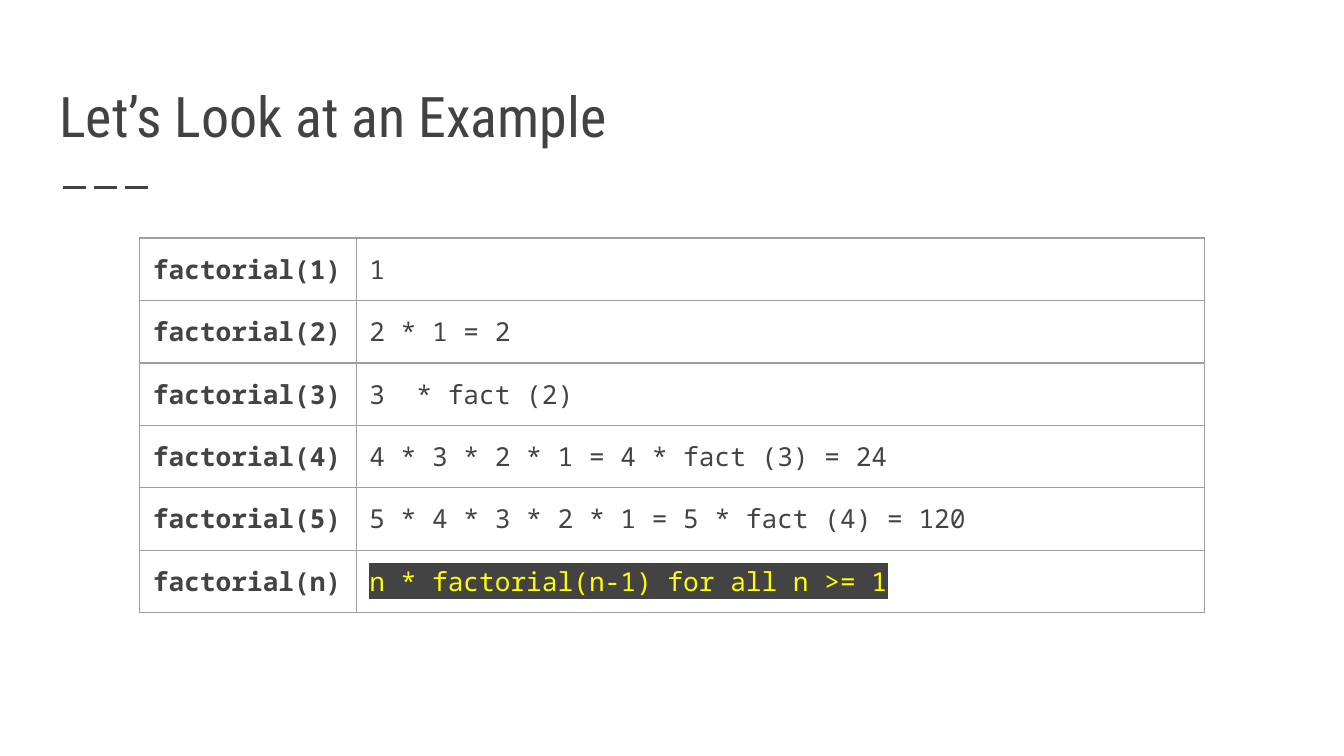
from lxml.etree import SubElement
from pptx import Presentation
from pptx.dml.color import RGBColor
from pptx.enum.dml import MSO_LINE_DASH_STYLE as DashStyle
from pptx.enum.shapes import MSO_CONNECTOR as Connector
from pptx.enum.text import MSO_ANCHOR as Anchor
from pptx.oxml.ns import qn
from pptx.util import Cm, Pt

COLORS = {
    "title": "424242",
    "text": "434343",
    "border": "9E9E9E",
    "highlighted_text": "FFFF00",
}
TITLE_FONT = "Roboto Condensed"
CODE_FONT = "Noto Sans Mono"
INSET = Cm(0.25)

FACTORIALS = [
    ("factorial(1)", "1"),
    ("factorial(2)", "2 * 1 = 2"),
    ("factorial(3)", "3  * fact (2)"),
    ("factorial(4)", "4 * 3 * 2 * 1 = 4 * fact (3) = 24"),
    ("factorial(5)", "5 * 4 * 3 * 2 * 1 = 5 * fact (4) = 120"),
    ("factorial(n)", "n * factorial(n-1) for all n >= 1"),
]


def rgb(name):
    return RGBColor.from_string(COLORS[name])


def format_run(run, font_name, size, color, bold=False):
    run.font.name = font_name
    run.font.size = Pt(size)
    run.font.bold = bold
    run.font.color.rgb = rgb(color)


def set_insets(target):
    """Give a text frame or a table cell the same margin on all sides."""
    target.margin_left = target.margin_right = INSET
    target.margin_top = target.margin_bottom = INSET


def highlight(run, color):
    properties = run.font._element
    mark = SubElement(properties, qn("a:highlight"))
    SubElement(mark, qn("a:srgbClr"), val=COLORS[color])
    properties.find(qn("a:solidFill")).addnext(mark)


def add_borders(cell):
    properties = cell._tc.get_or_add_tcPr()
    for side in ("lnL", "lnR", "lnT", "lnB"):
        line = SubElement(properties, qn(f"a:{side}"), w=str(Pt(0.75)))
        fill = SubElement(line, qn("a:solidFill"))
        SubElement(fill, qn("a:srgbClr"), val=COLORS["border"])


def add_title(slide, text, left, top, width, height):
    box = slide.shapes.add_textbox(left, top, width, height)
    frame = box.text_frame
    frame.word_wrap = True
    frame.vertical_anchor = Anchor.BOTTOM
    set_insets(frame)
    frame.text = text
    format_run(frame.paragraphs[0].runs[0], TITLE_FONT, 30, "title")

    rule_left, rule_top = left + Cm(0.33), top + height + Cm(0.47)
    rule = slide.shapes.add_connector(
        Connector.STRAIGHT, rule_left, rule_top, rule_left + Cm(1.7), rule_top)
    rule.line.color.rgb = rgb("title")
    rule.line.width = Pt(1.5)
    rule.line.dash_style = DashStyle.LONG_DASH
    SubElement(rule._element.spPr, qn("a:effectLst"))


def add_factorial_table(slide, left, top, label_width, formula_width, row_height):
    table = slide.shapes.add_table(
        len(FACTORIALS), 2, left, top,
        label_width + formula_width, row_height * len(FACTORIALS)).table
    table.first_row = table.horz_banding = False
    table.columns[0].width = label_width
    table.columns[1].width = formula_width

    for row, texts in zip(table.rows, FACTORIALS):
        row.height = row_height
        for column, (cell, text) in enumerate(zip(row.cells, texts)):
            add_borders(cell)
            cell.fill.background()
            set_insets(cell)
            cell.text = text
            run = cell.text_frame.paragraphs[0].runs[0]
            format_run(run, CODE_FONT, 14, "text", bold=column == 0)

    general_case = table.cell(len(FACTORIALS) - 1, 1)
    run = general_case.text_frame.paragraphs[0].runs[0]
    run.font.color.rgb = rgb("highlighted_text")
    highlight(run, "text")


def main():
    presentation = Presentation()
    presentation.slide_width = Cm(25.4)
    presentation.slide_height = Cm(14.29)
    slide = presentation.slides.add_slide(presentation.slide_layouts[6])
    add_title(slide, "Let’s Look at an Example",
              Cm(0.87), Cm(1.04), Cm(23.67), Cm(2.03))
    add_factorial_table(slide, Cm(2.64), Cm(4.5), Cm(4.09), Cm(16.03), Cm(1.18))
    presentation.save("out.pptx")


if __name__ == "__main__":
    main()
